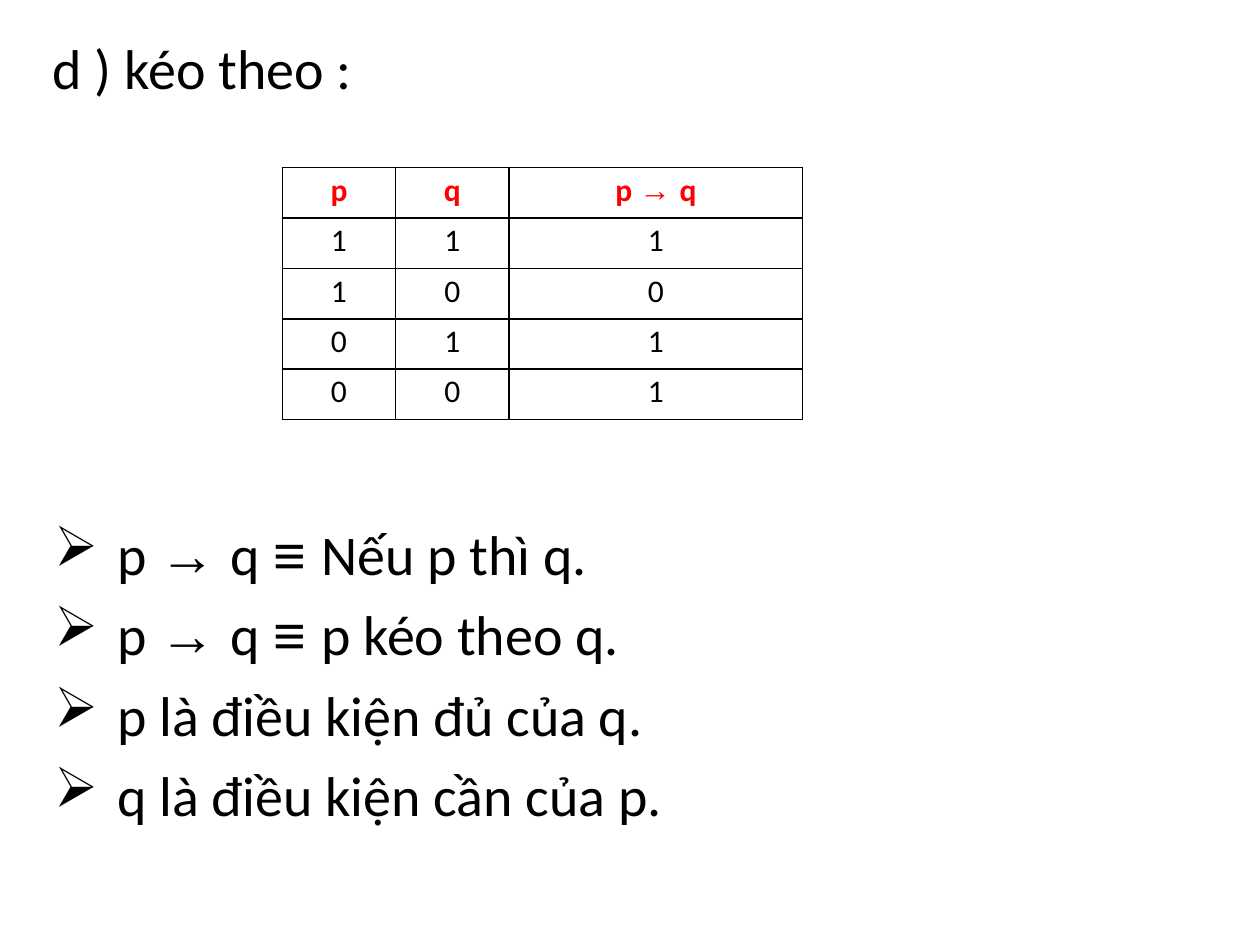
import dataclasses
import itertools

import lxml.etree
import pptx
import pptx.dml.color
import pptx.enum.text
import pptx.oxml.ns
import pptx.util

Inches = pptx.util.Inches
Pt = pptx.util.Pt
Color = pptx.dml.color.RGBColor
Align = pptx.enum.text.PP_ALIGN
TITLE_ONLY_LAYOUT = 5


@dataclasses.dataclass(frozen=True)
class Theme:
    text_font: str = "Calibri"
    symbol_font: str = "Arial"
    symbols: str = "→≡"
    body_size: float = 32
    table_size: float = 18
    ink: str = "000000"
    accent: str = "FF0000"
    border_width: float = 1


def set_values(target, values):
    for name, value in values.items():
        setattr(target, name, value)


def add_xml(parent, tag, **attributes):
    return lxml.etree.SubElement(parent, pptx.oxml.ns.qn(tag), attributes)


class SlideBuilder:
    def __init__(self, slide, theme):
        self.slide = slide
        self.theme = theme

    def add_text(self, para, text, size, color, bold=False):
        """Fill a paragraph, giving logic symbols a run in their own font."""
        theme = self.theme
        words = text.replace(" ", " \n").split("\n")
        groups = itertools.groupby(words, lambda word: word.strip() in theme.symbols)
        for is_symbol, group in groups:
            span = para.add_run()
            span.text = "".join(group)
            set_values(span.font, {
                "name": theme.symbol_font if is_symbol else theme.text_font,
                "size": Pt(size),
                "bold": bold and not is_symbol,
            })
            span.font.color.rgb = Color.from_string(color)

    def format_frame(self, frame, top_margin):
        set_values(frame, {
            "margin_left": 0, "margin_right": 0, "margin_bottom": 0,
            "margin_top": Inches(top_margin),
            "vertical_anchor": pptx.enum.text.MSO_ANCHOR.TOP,
            "auto_size": pptx.enum.text.MSO_AUTO_SIZE.NONE,
            "word_wrap": True,
        })

    def title(self, text, left, top, width, height):
        box = self.slide.shapes.title
        set_values(box, {
            "left": Inches(left), "top": Inches(top),
            "width": Inches(width), "height": Inches(height),
        })
        self.format_frame(box.text_frame, 0.01)
        para = box.text_frame.paragraphs[0]
        para.alignment = Align.LEFT
        self.add_text(para, text, self.theme.body_size, self.theme.ink)

    def bullets(self, lines, left, top, width, height):
        box = self.slide.shapes.add_textbox(
            Inches(left), Inches(top), Inches(width), Inches(height))
        frame = box.text_frame
        self.format_frame(frame, 0.12)
        for index, line in enumerate(lines):
            para = frame.add_paragraph() if index else frame.paragraphs[0]
            properties = para._p.get_or_add_pPr()
            properties.set("marL", str(Inches(0.51)))
            properties.set("indent", str(Inches(-0.5)))
            add_xml(properties, "a:buChar", char="➢")
            para.space_before = Pt(7.6 if index else 0)
            self.add_text(para, line, self.theme.body_size, self.theme.ink)

    def border(self, cell):
        properties = cell._tc.get_or_add_tcPr()
        for side in ("a:lnL", "a:lnR", "a:lnT", "a:lnB"):
            line = add_xml(properties, side, w=str(Pt(self.theme.border_width)))
            add_xml(add_xml(line, "a:solidFill"), "a:srgbClr", val=self.theme.ink)

    def table(self, rows, left, top, column_widths, row_height):
        theme = self.theme
        table = self.slide.shapes.add_table(
            len(rows), len(column_widths), Inches(left), Inches(top),
            Inches(sum(column_widths)), Inches(row_height * len(rows))).table
        set_values(table, {"first_row": False, "horz_banding": False})
        for column, width in zip(table.columns, column_widths):
            column.width = Inches(width)
        for row_index, values in enumerate(rows):
            is_header = row_index == 0
            for column_index, value in enumerate(values):
                cell = table.cell(row_index, column_index)
                set_values(cell, {
                    "margin_left": 0, "margin_right": 0, "margin_bottom": 0,
                    "margin_top": Inches(0.03),
                })
                self.border(cell)
                cell.fill.background()
                para = cell.text_frame.paragraphs[0]
                para.alignment = Align.CENTER
                color = theme.accent if is_header else theme.ink
                self.add_text(para, value, theme.table_size, color, bold=is_header)


def main():
    deck = pptx.Presentation()
    set_values(deck, {"slide_width": Inches(10), "slide_height": Inches(7.5)})
    page = deck.slides.add_slide(deck.slide_layouts[TITLE_ONLY_LAYOUT])
    builder = SlideBuilder(page, Theme())

    builder.title("d ) kéo theo :", 0.42, 0.26, 2.4, 0.56)
    builder.bullets([
        "p → q ≡ Nếu p thì q.",
        "p → q ≡ p kéo theo q.",
        "p là điều kiện đủ của q.",
        "q là điều kiện cần của p.",
    ], 0.42, 4, 4.85, 2.58)

    truth_rows = [
        (str(p), str(q), str(int(not p or q)))
        for p, q in itertools.product((1, 0), repeat=2)
    ]
    builder.table([("p", "q", "p → q"), *truth_rows],
                  2.24, 1.33, (0.9, 0.9, 2.33), 0.4)
    deck.save("out.pptx")


if __name__ == "__main__":
    main()
